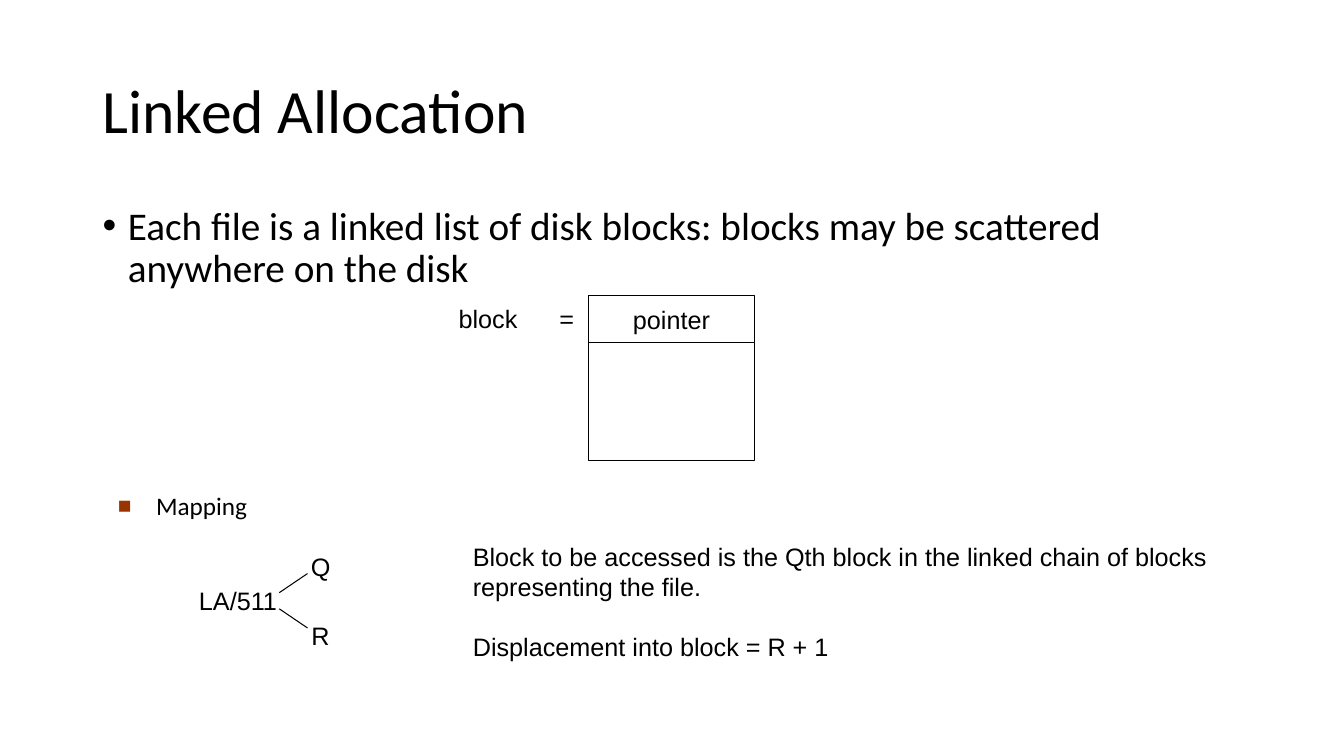
"""Build the Linked Allocation slide."""
from lxml import etree
from pptx import Presentation
from pptx.dml.color import RGBColor
from pptx.enum.shapes import MSO_CONNECTOR, MSO_SHAPE
from pptx.enum.text import MSO_ANCHOR as Anchor, PP_ALIGN as Align
from pptx.oxml.ns import qn
from pptx.util import Inches, Pt

BLACK = RGBColor(0x00, 0x00, 0x00)
WHITE = RGBColor(0xFF, 0xFF, 0xFF)
RUST = RGBColor(0x99, 0x33, 0x00)


def set_font(paragraph, size=18, name="Arial"):
    """Set the typeface, size and colour of a paragraph."""
    font = paragraph.font
    font.name, font.size, font.color.rgb = name, Pt(size), BLACK


def add_text(slide, box, text, size=18, name="Arial", align=Align.LEFT,
             anchor=Anchor.TOP, wrap=True):
    """Add a text box and return its first paragraph."""
    frame = slide.shapes.add_textbox(*map(Inches, box)).text_frame
    frame.word_wrap = wrap
    frame.vertical_anchor = anchor
    paragraph = frame.paragraphs[0]
    paragraph.text = text
    paragraph.alignment = align
    set_font(paragraph, size, name)
    return paragraph


def add_bullet(paragraph, char, indent, color=BLACK, percent=100):
    """Give a paragraph a bullet with a hanging indent."""
    properties = paragraph._p.get_or_add_pPr()
    properties.set("marL", str(Inches(indent)))
    properties.set("indent", str(-Inches(indent)))
    bullet_color = etree.Element(qn("a:buClr"))
    etree.SubElement(bullet_color, qn("a:srgbClr"), val=str(color))
    bullet_parts = (
        bullet_color,
        etree.Element(qn("a:buSzPct"), val=str(percent * 1000)),
        etree.Element(qn("a:buFont"), typeface="Arial"),
        etree.Element(qn("a:buChar"), char=char),
    )
    first = len(properties.findall(qn("a:lnSpc")))
    for offset, part in enumerate(bullet_parts):
        properties.insert(first + offset, part)


def add_cell(slide, box, text=""):
    """Add one outlined part of the disk block."""
    cell = slide.shapes.add_shape(MSO_SHAPE.RECTANGLE, *map(Inches, box))
    cell.shadow.inherit = False
    cell.fill.solid()
    cell.fill.fore_color.rgb = WHITE
    cell.line.color.rgb = BLACK
    cell.line.width = Pt(0.75)
    if text:
        cell.text_frame.word_wrap = False
        cell.text_frame.vertical_anchor = Anchor.MIDDLE
        label = cell.text_frame.paragraphs[0]
        label.text = text
        label.alignment = Align.CENTER
        set_font(label)


def add_branch(slide, start, end):
    """Draw a thin line from the quotient to one of its results."""
    branch = slide.shapes.add_connector(
        MSO_CONNECTOR.STRAIGHT, *map(Inches, (*start, *end)))
    branch.line.color.rgb = BLACK
    branch.line.width = Pt(0.75)
    etree.SubElement(branch._element.spPr, qn("a:effectLst"))


def add_title(slide, box):
    """Place the slide title."""
    title = add_text(slide, box, "Linked Allocation", 44, "Calibri",
                     anchor=Anchor.MIDDLE)
    title.line_spacing = 0.9


def add_definition(slide, box):
    """Place the bulleted definition of linked allocation."""
    definition = add_text(
        slide, box, "Each file is a linked list of disk blocks: "
        "blocks may be scattered anywhere on the disk", 28, "Calibri")
    definition.line_spacing = 0.9
    add_bullet(definition, "•", 0.25)


def add_block_diagram(slide, box):
    """Place the block label and its two stacked cells."""
    left, top, width, height = box
    cell_width, pointer_height = 1.64, 0.47
    cell_left = left + width - cell_width
    add_cell(slide, (cell_left, top, cell_width, pointer_height), "pointer")
    add_cell(slide, (cell_left, top + pointer_height, cell_width,
                     height - pointer_height))
    equation = add_text(slide, (left, top + 0.03, 1.36, 0.4), "block\t=",
                        anchor=Anchor.MIDDLE, wrap=False)
    tabs = etree.SubElement(equation._p.get_or_add_pPr(), qn("a:tabLst"))
    etree.SubElement(tabs, qn("a:tab"), pos=str(Inches(1)), algn="l")
    set_font(equation)


def add_mapping_heading(slide, box):
    """Place the heading with its square bullet."""
    heading = add_text(slide, box, "Mapping", 18, "Calibri")
    add_bullet(heading, "■", 0.38, RUST, 90)


def add_division(slide, box):
    """Place the address division and its branches to Q and R."""
    left, top, width, height = box
    label_height, result_width = 0.4, 0.4
    middle = top + height / 2
    labels = (("LA/511", left, middle - label_height / 2, 0.98),
              ("Q", left + width - result_width, top, result_width),
              ("R", left + width - result_width, top + height - label_height,
               result_width))
    for text, x, y, label_width in labels:
        add_text(slide, (x, y, label_width, label_height), text,
                 align=Align.CENTER, anchor=Anchor.MIDDLE, wrap=False)
    for side in (-1, 1):
        add_branch(slide, (left + 0.9, middle + side * 0.08),
                   (left + 1.18, middle + side * 0.27))


def add_explanation(slide, box):
    """Place the explanation of Q and R."""
    quotient = add_text(
        slide, box, "Block to be accessed is the Qth block in the linked "
        "chain of blocks representing the file.")
    frame = slide.shapes[-1].text_frame
    frame.margin_left = Inches(0.6)
    remainder = frame.add_paragraph()
    remainder.text = "Displacement into block = R + 1"
    remainder.alignment = quotient.alignment
    remainder.space_before = Pt(21)
    set_font(remainder)


def main():
    """Build and save the slide."""
    deck = Presentation()
    deck.slide_width, deck.slide_height = Inches(13.33), Inches(7.5)
    slide = deck.slides.add_slide(deck.slide_layouts[6])
    add_title(slide, (0.92, 0.4, 11.5, 1.45))
    add_definition(slide, (0.92, 2, 11.5, 4.76))
    add_block_diagram(slide, (4.45, 2.93, 3.03, 1.64))
    add_mapping_heading(slide, (1.07, 4.82, 8.06, 0.6))
    add_division(slide, (1.87, 5.42, 1.51, 1.08))
    add_explanation(slide, (4.09, 5.32, 8.57, 1.79))
    deck.save("out.pptx")


if __name__ == "__main__":
    main()
